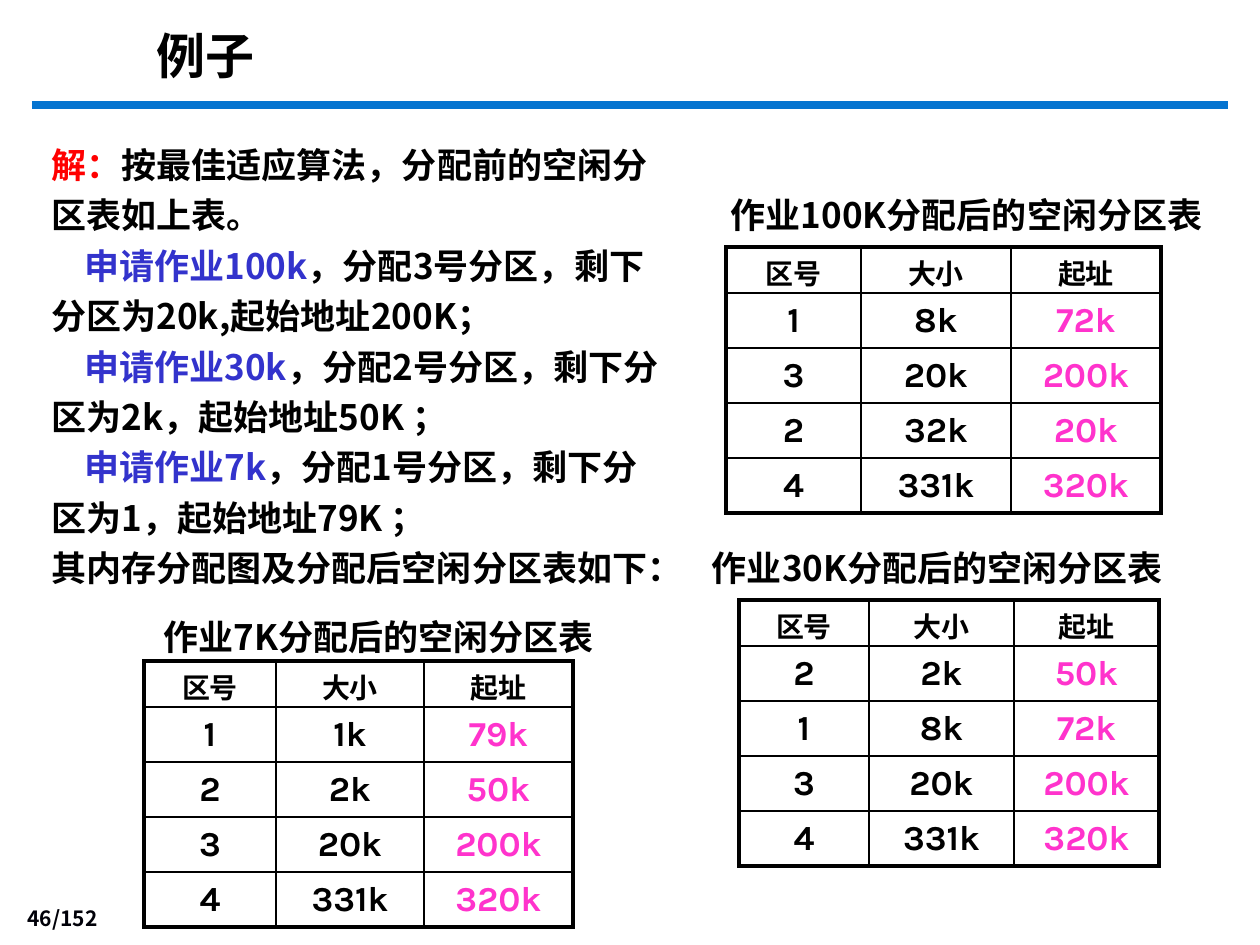
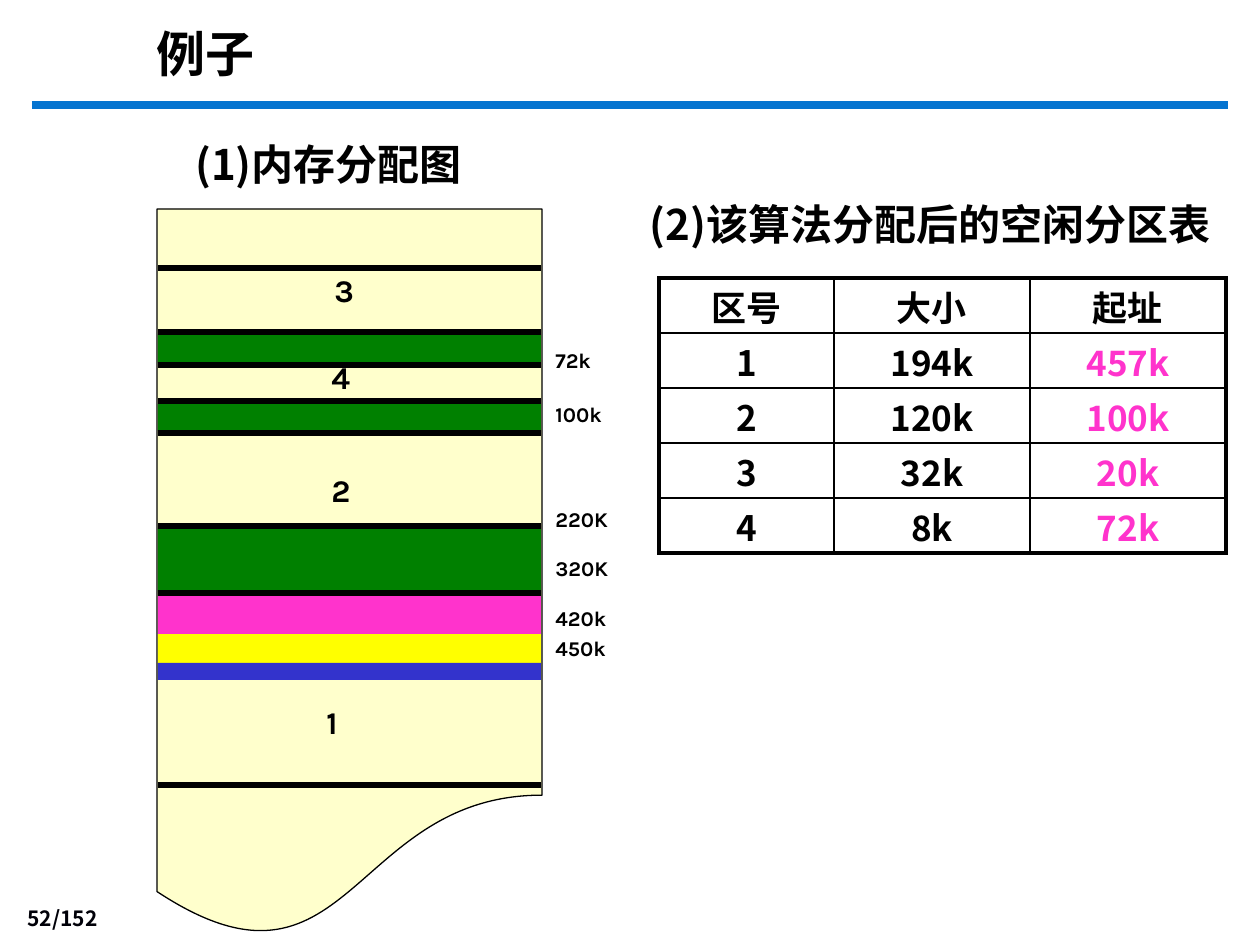
from pptx import Presentation, util as u
from pptx.dml.color import RGBColor
from pptx.enum import shapes, text
from pptx.oxml import parse_xml
from pptx.oxml.ns import nsdecls, qn
from lxml import etree

SCALE = 914400 / 126
BLACK, RED, BLUE, PINK = "000000", "FF0000", "3333CC", "FF33CC"
GREEN, YELLOW, CREAM, RULE = "008000", "FFFF00", "FFFFCC", "0574D0"
CJK, KARLA = "Noto Sans CJK SC", "Karla"
ALIGN, ANCHOR = text.PP_ALIGN, text.MSO_ANCHOR
HEADINGS = ("区号", "大小", "起址")


def px(length):
    return u.Emu(round(length * SCALE))


def colour(hex_code):
    return RGBColor.from_string(hex_code)


def set_all(target, values):
    for name, value in values.items():
        setattr(target, name, value)


def add_span(para, words, size, font=CJK, ink=BLACK):
    span = para.add_run()
    span.text = words
    set_all(span.font, {"size": u.Pt(size), "bold": True, "name": font})
    span.font.color.rgb = colour(ink)
    east = etree.SubElement(span._r.get_or_add_rPr(), qn("a:ea"))
    east.set("typeface", font if font.startswith("Noto") else CJK)


def add_text(page, box, paragraphs, size, font=CJK, align=ALIGN.LEFT,
             anchor=ANCHOR.TOP, leading=1.2, wrap=True):
    """Each paragraph is (first line indent, [(words, ink), ...])."""
    frame = page.shapes.add_textbox(*map(px, box)).text_frame
    set_all(frame, {"word_wrap": wrap, "vertical_anchor": anchor})
    for number, (indent, spans) in enumerate(paragraphs):
        para = frame.add_paragraph() if number else frame.paragraphs[0]
        set_all(para, {"alignment": align, "line_spacing": u.Pt(size * leading)})
        if indent:
            para._p.get_or_add_pPr().set("indent", str(px(indent)))
        for words, ink in spans:
            add_span(para, words, size, font, ink)


def add_line(page, left, right, y, ink, width):
    line = page.shapes.add_connector(
        shapes.MSO_CONNECTOR.STRAIGHT, px(left), px(y), px(right), px(y))
    line.line.color.rgb = colour(ink)
    line.line.width = u.Pt(width)
    etree.SubElement(line._element.spPr, qn("a:effectLst"))


def add_block(page, kind, box, fill, outline=None):
    block = page.shapes.add_shape(kind, *map(px, box))
    block.shadow.inherit = False
    block.fill.solid()
    block.fill.fore_color.rgb = colour(fill)
    if outline:
        block.line.color.rgb = colour(outline)
        block.line.width = u.Pt(0.75)
    else:
        block.line.fill.background()


def add_page(deck, number, title_top):
    """Blank page with the shared rule, page number and title."""
    page = deck.slides.add_slide(deck.slide_layouts[6])
    add_line(page, 32, 1228, 105, RULE, 4.5)
    add_text(page, (0, 900, 110, 36), [(0, [(f"{number}/152", "000008")])], 12,
             "Noto Sans CJK JP", ALIGN.RIGHT, ANCHOR.MIDDLE)
    add_text(page, (144, title_top, 700, 72), [(0, [("例子", BLACK)])], 28, "Arial")
    return page


def add_caption(page, box, words, size=20, align=ALIGN.CENTER):
    add_text(page, box, [(0, [(words, BLACK)])], size, align=align)


def set_borders(cell, widths):
    properties = cell._tc.get_or_add_tcPr()
    for index, (side, width) in enumerate(zip("LRTB", widths)):
        properties.insert(index, parse_xml(
            f'<a:ln{side} {nsdecls("a")} w="{u.Pt(width)}"><a:solidFill>'
            f'<a:srgbClr val="{BLACK}"/></a:solidFill></a:ln{side}>'))


def add_partition_table(page, left, top, widths, heights, records,
                        font=KARLA, heading_size=16):
    """Free partitions: thick outer frame, start addresses in pink."""
    rows = [HEADINGS, *records]
    table = page.shapes.add_table(
        len(rows), 3, px(left), px(top), px(sum(widths)),
        px(heights[0] + heights[1] * len(records))).table
    set_all(table, {"first_row": False, "horz_banding": False})
    for column, width in zip(table.columns, widths):
        column.width = px(width)
    last = len(rows) - 1
    for r, row in enumerate(rows):
        table.rows[r].height = px(heights[min(r, 1)])
        for c, words in enumerate(row):
            cell = table.cell(r, c)
            cell.fill.background()
            set_borders(cell, [2.25 if outer else 1
                               for outer in (c == 0, c == 2, r == 0, r == last)])
            latin = r > 0 and font == KARLA
            set_all(cell, {"margin_top": px(6 if latin else 12), "margin_bottom": 0})
            size = 20 if r else heading_size
            para = cell.text_frame.paragraphs[0]
            set_all(para, {"alignment": ALIGN.CENTER, "line_spacing": u.Pt(size * 1.2)})
            add_span(para, words, size, font, PINK if r and c == 2 else BLACK)


def add_solution(page, box):
    jobs = [("申请作业100k", "，分配3号分区，剩下分区为20k,起始地址200K；"),
            ("申请作业30k", "，分配2号分区，剩下分区为2k，起始地址50K ；"),
            ("申请作业7k", "，分配1号分区，剩下分区为1，起始地址79K ；")]
    paragraphs = [(0, [("解：", RED), ("按最佳适应算法，分配前的空闲分区表如上表。", BLACK)])]
    paragraphs += [(33, [(job, BLUE), (result, BLACK)]) for job, result in jobs]
    paragraphs.append((0, [("其内存分配图及分配后空闲分区表如下：", BLACK)]))
    add_text(page, box, paragraphs, 20, leading=1.44)


def add_memory_map(page, box):
    """Memory column: bands, dividing lines, partition numbers and addresses."""
    left, top, width, height = box
    add_block(page, shapes.MSO_SHAPE.FLOWCHART_DOCUMENT, box, CREAM, BLACK)
    # Allocated areas
    for y, depth, fill in [(125, 29, GREEN), (195, 27, GREEN), (319, 64, GREEN),
                           (387, 38, PINK), (425, 29, YELLOW), (454, 17, BLUE)]:
        add_block(page, shapes.MSO_SHAPE.RECTANGLE,
                  (left + 1, top + y, width - 2, depth), fill)
    # Boundaries
    for y in (59, 123, 156, 192, 224, 317, 384, 576):
        add_line(page, left + 1, left + width - 1, top + y, BLACK, 3)
    # Free partition numbers, by their middle height
    for number, x, y in [("3", 165, 81), ("4", 162, 168), ("2", 162, 281), ("1", 157, 513)]:
        add_text(page, (left + x, top + y - 25, 45, 50), [(0, [(number, BLACK)])],
                 18, KARLA, anchor=ANCHOR.MIDDLE, wrap=False)
    # Start addresses, by their middle height
    for address, y in [("72k", 151), ("100k", 205), ("220K", 310),
                       ("320K", 359), ("420k", 409), ("450k", 439)]:
        add_text(page, (left + width + 1, top + y - 18, 117, 36),
                 [(0, [(address, BLACK)])], 12, KARLA, anchor=ANCHOR.MIDDLE)


def build_solution_page(deck):
    page = add_page(deck, 46, 19)
    add_solution(page, (39, 129, 635, 471))
    results = [
        ("作业100K分配后的空闲分区表", (704, 187), (726, 247), (135, 150, 150),
         [("1", "8k", "72k"), ("3", "20k", "200k"), ("2", "32k", "20k"), ("4", "331k", "320k")]),
        ("作业30K分配后的空闲分区表", (675, 540), (739, 600), (130, 145, 145),
         [("2", "2k", "50k"), ("1", "8k", "72k"), ("3", "20k", "200k"), ("4", "331k", "320k")]),
        ("作业7K分配后的空闲分区表", (116, 609), (144, 661), (132, 148, 149),
         [("1", "1k", "79k"), ("2", "2k", "50k"), ("3", "20k", "200k"), ("4", "331k", "320k")])]
    for caption, caption_at, table_at, widths, records in results:
        add_partition_table(page, *table_at, widths, (46, 55), records)
        add_caption(page, (*caption_at, 525, 54), caption)


def build_memory_page(deck):
    page = add_page(deck, 52, 17)
    add_partition_table(page, 659, 278, (175, 196, 196), (55, 55),
                        [("1", "194k", "457k"), ("2", "120k", "100k"),
                         ("3", "32k", "20k"), ("4", "8k", "72k")], CJK, 20)
    add_caption(page, (615, 192, 630, 63), "(2)该算法分配后的空闲分区表", 24)
    add_caption(page, (183, 132, 355, 63), "(1)内存分配图", 24, ALIGN.LEFT)
    add_memory_map(page, (157, 209, 385, 731))


def main():
    deck = Presentation()
    set_all(deck, {"slide_width": px(1260), "slide_height": px(945)})
    build_solution_page(deck)
    build_memory_page(deck)
    deck.save("out.pptx")


if __name__ == "__main__":
    main()
